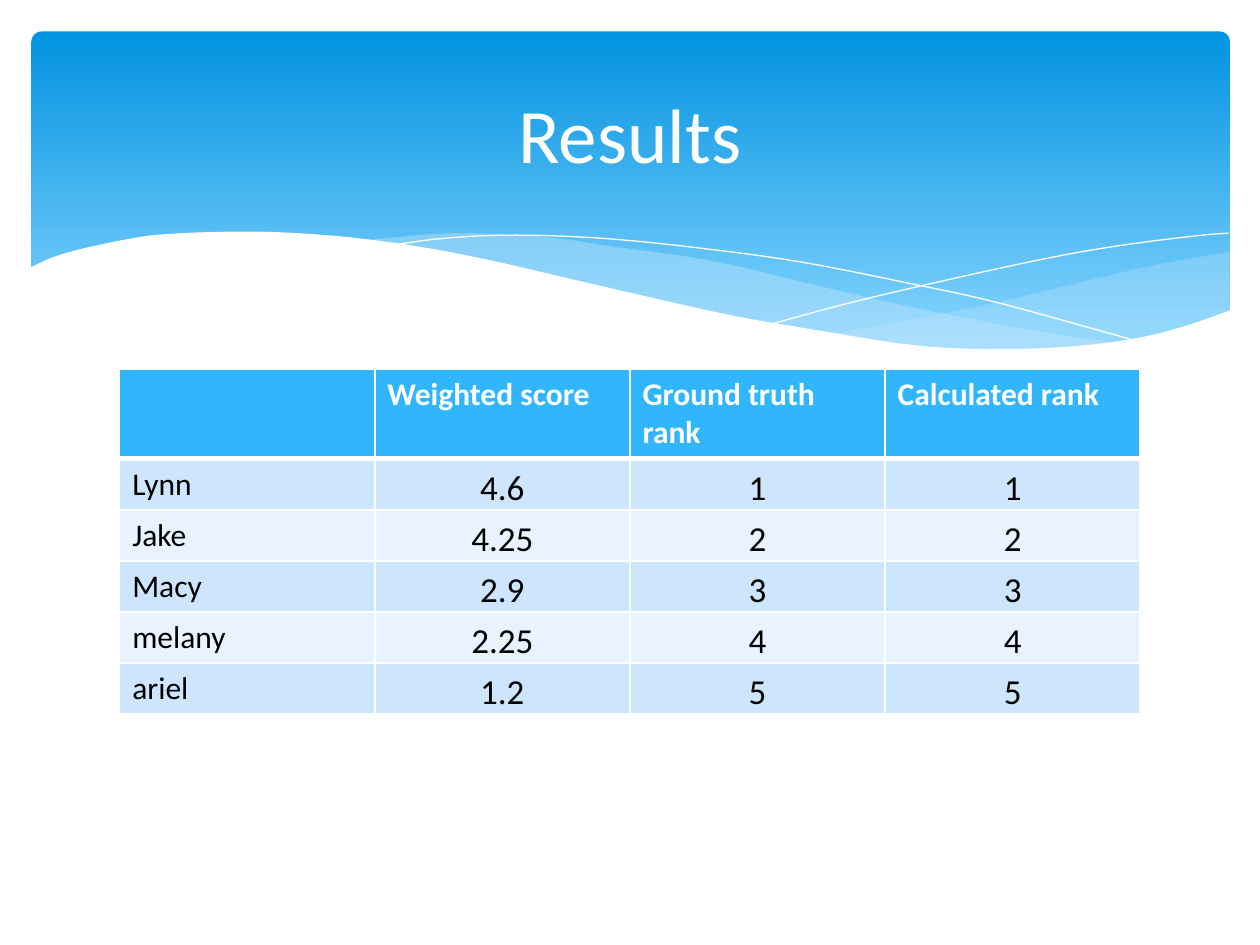
from lxml.etree import SubElement
from pptx import Presentation
from pptx.dml.color import RGBColor
from pptx.enum.shapes import MSO_SHAPE as Shape
from pptx.enum.text import MSO_ANCHOR as Anchor, PP_ALIGN as Align
from pptx.oxml.ns import qn
from pptx.util import Inches, Pt

WHITE = RGBColor(0xFF, 0xFF, 0xFF)
BLACK = RGBColor(0x00, 0x00, 0x00)
DEEP_BLUE = RGBColor(0x02, 0x93, 0xE0)
LIGHT_BLUE = RGBColor(0x83, 0xD3, 0xFE)
MIST = RGBColor(0xC6, 0xE7, 0xFC)
HEADER_BLUE = RGBColor(0x31, 0xB6, 0xFD)
ROW_TINTS = (RGBColor(0xCE, 0xE5, 0xFE), RGBColor(0xE8, 0xF3, 0xFF))
FONT = "Calibri"

SWELL_RIGHT = (
    [(97.6, 20), (93.5, 27), (89.1, 36), (80.5, 57), (75.3, 68), (66.1, 85)],
    [(66.1, 85), (70.5, 91), (74.5, 95), (79.2, 97), (83.5, 97), (88.1, 93),
     (92.1, 85), (94.9, 77), (97.6, 67)],
)
SWELL_MIDDLE = (
    [(28.6, 11), (32.8, 7), (36.1, 5), (39.9, 6), (44.2, 9), (48.9, 16), (54.1, 23),
     (58.4, 31), (62.9, 42), (70.6, 60), (77.5, 74), (83.7, 85), (89.3, 93)],
    [(89.3, 93), (84.8, 97), (79.6, 98), (73.6, 95), (66.5, 86), (58.4, 72),
     (49.1, 52), (44.9, 42), (38.3, 27), (32.3, 16), (28.6, 11)],
)
FALLING_LINE = (
    [(30.9, 15), (34.4, 10), (38.7, 7), (43.3, 7), (48.9, 10), (55.6, 17),
     (63.6, 28), (72.7, 46), (79.5, 61), (90.7, 92)],
)
RISING_LINE = (
    [(61.3, 77), (67.2, 61), (74.8, 43), (83.6, 24), (89.5, 14), (95.1, 7), (97.5, 5)],
)
WHITE_WAVE = (
    [(97.7, 66), (94, 79), (89.9, 89), (85, 95), (79, 97), (72.6, 94), (64.8, 82),
     (57.9, 70), (50.3, 53), (44.7, 40), (39.1, 27), (34, 17), (29.2, 10), (25, 6),
     (21.1, 4), (17.7, 4), (14.6, 5), (11.9, 7), (9.5, 11), (7.6, 15), (5.9, 19),
     (4, 25), (2.3, 33)],
    [(2.3, 149), (97.7, 149)],
)

HEADINGS = ("", "Weighted score", "Ground truth rank", "Calculated rank")
RESULTS = (
    ("Lynn", "4.6", "1", "1"),
    ("Jake", "4.25", "2", "2"),
    ("Macy", "2.9", "3", "3"),
    ("melany", "2.25", "4", "4"),
    ("ariel", "1.2", "5", "5"),
)


def smooth(knots, steps=6):
    padded = [knots[0], *knots, knots[-1]]
    points = [knots[0]]
    for a, b, c, d in zip(padded, padded[1:], padded[2:], padded[3:]):
        for step in range(1, steps + 1):
            t = step / steps
            points.append(tuple(
                q + t * (r - p) / 2 + t**2 * (p - 2.5 * q + 2 * r - s / 2)
                + t**3 * (1.5 * (q - r) + (s - p) / 2)
                for p, q, r, s in zip(a, b, c, d)))
    return points


def add_wave(slide, box, curves, fill=None, opacity=100):
    left, top, width, height = box
    points = [(round(left + width * x / 100), round(top + height * y / 100))
              for curve in curves for x, y in smooth(curve)]
    builder = slide.shapes.build_freeform(*points[0], scale=1.0)
    builder.add_line_segments(points[1:], close=fill is not None)
    shape = builder.convert_to_shape()
    shape.shadow.inherit = False
    if fill is None:
        shape.fill.background()
        shape.line.color.rgb = WHITE
        shape.line.width = Pt(0)
        return
    shape.fill.solid()
    shape.fill.fore_color.rgb = fill
    shape.line.fill.background()
    if opacity < 100:
        color = shape.element.spPr.find(qn("a:solidFill")).find(qn("a:srgbClr"))
        SubElement(color, qn("a:alpha"), val=str(opacity * 1000))


def add_banner(slide, box):
    banner = slide.shapes.add_shape(Shape.ROUNDED_RECTANGLE, *box)
    banner.adjustments[0] = 0.03
    banner.shadow.inherit = False
    banner.line.fill.background()
    banner.fill.gradient()
    banner.fill.gradient_angle = 270
    stops = zip(banner.fill.gradient_stops, (0, 0.9), (DEEP_BLUE, LIGHT_BLUE))
    for stop, position, color in stops:
        stop.position = position
        stop.color.rgb = color


def add_waves(slide, box):
    add_wave(slide, box, SWELL_RIGHT, fill=MIST, opacity=29)
    add_wave(slide, box, SWELL_MIDDLE, fill=MIST, opacity=40)
    add_wave(slide, box, FALLING_LINE)
    add_wave(slide, box, RISING_LINE)
    add_wave(slide, box, WHITE_WAVE, fill=WHITE)


def write_text(frame, text, size=18, color=BLACK, bold=False, align=None):
    paragraph = frame.paragraphs[0]
    paragraph.alignment = align
    paragraph.font.size = Pt(size)
    if text:
        run = paragraph.add_run()
        run.text = text
        run.font.name = FONT
        run.font.size = Pt(size)
        run.font.bold = bold
        run.font.color.rgb = color


def set_borders(cell, **widths):
    properties = cell._tc.get_or_add_tcPr()
    for side in "LRTB":
        width = Pt(widths.get(side, 1))
        line = SubElement(properties, qn(f"a:ln{side}"), w=str(width))
        fill = SubElement(line, qn("a:solidFill"))
        SubElement(fill, qn("a:srgbClr"), val=str(WHITE))


def add_results_table(slide, box):
    rows = (HEADINGS, *RESULTS)
    table = slide.shapes.add_table(len(rows), len(HEADINGS), *box).table
    for row_index, row in enumerate(rows):
        for column_index, text in enumerate(row):
            cell = table.cell(row_index, column_index)
            heading = row_index == 0
            set_borders(cell, T=3 if row_index == 1 else 1, B=3 if heading else 1)
            cell.fill.solid()
            cell.fill.fore_color.rgb = HEADER_BLUE if heading else ROW_TINTS[(row_index - 1) % 2]
            if heading:
                write_text(cell.text_frame, text, color=WHITE, bold=True)
            elif column_index == 0:
                write_text(cell.text_frame, text)
            else:
                cell.margin_left = cell.margin_right = cell.margin_top = Inches(0.01)
                cell.margin_bottom = 0
                cell.vertical_anchor = Anchor.BOTTOM
                write_text(cell.text_frame, text, size=20, align=Align.CENTER)


def place_title(slide, box, text):
    title = slide.shapes.title
    title.left, title.top, title.width, title.height = box
    title.text_frame.vertical_anchor = Anchor.MIDDLE
    write_text(title.text_frame, text, size=44, color=WHITE, align=Align.CENTER)
    title.element.getparent().append(title.element)


def inches(*lengths):
    return tuple(Inches(length) for length in lengths)


def build_results_slide(presentation):
    slide = presentation.slides.add_slide(presentation.slide_layouts[5])
    add_banner(slide, inches(0.25, 0.25, 9.51, 2.7))
    add_waves(slide, inches(0, 1.8, 10, 1))
    add_results_table(slide, inches(0.95, 2.93, 8.1, 2.43))
    place_title(slide, inches(0.5, 0.37, 9, 1.37), "Results")


presentation = Presentation()
presentation.slide_width, presentation.slide_height = inches(10, 7.5)
build_results_slide(presentation)
presentation.save("out.pptx")
